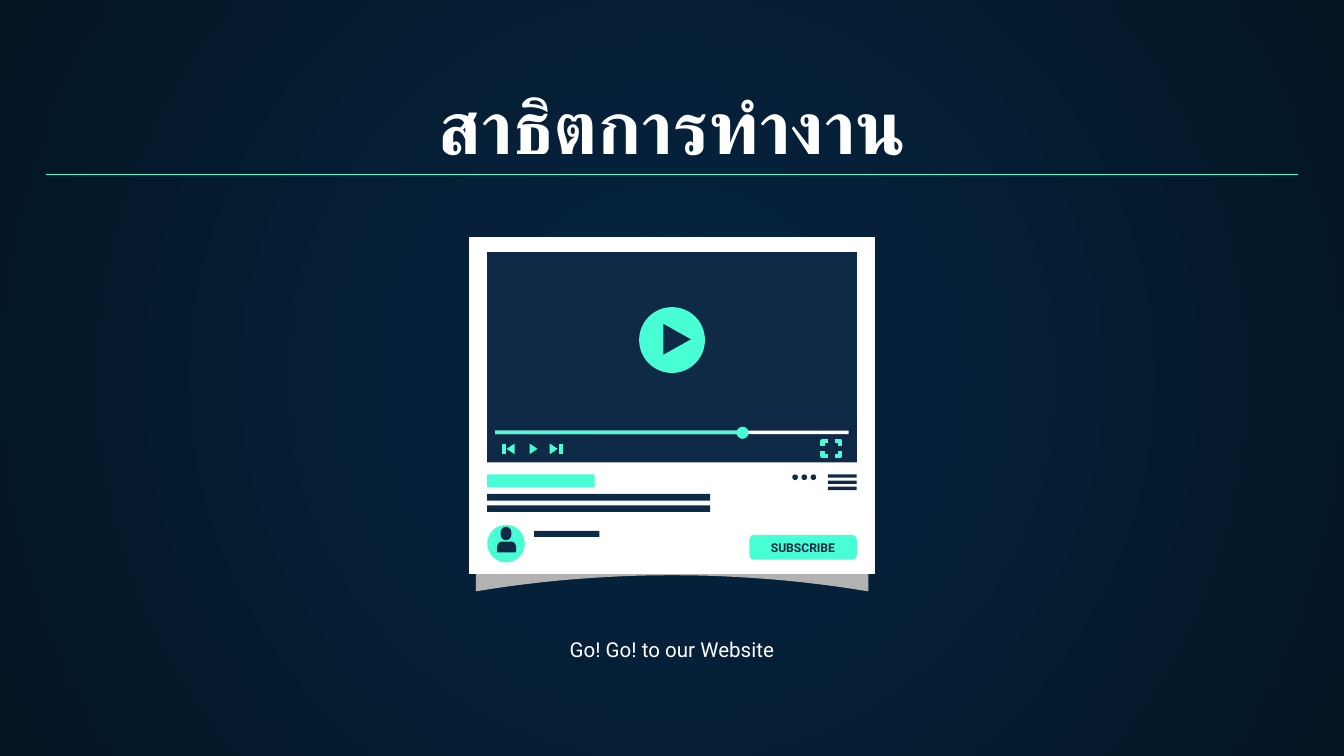
from dataclasses import dataclass

from lxml import etree
from pptx import Presentation
from pptx.dml.color import RGBColor
from pptx.enum.shapes import MSO_CONNECTOR, MSO_SHAPE
from pptx.enum.text import MSO_ANCHOR, MSO_AUTO_SIZE, PP_ALIGN
from pptx.oxml.ns import qn
from pptx.util import Inches, Pt

RECT, OVAL = MSO_SHAPE.RECTANGLE, MSO_SHAPE.OVAL
ROUNDED, SHOULDERS = MSO_SHAPE.ROUNDED_RECTANGLE, MSO_SHAPE.ROUND_2_SAME_RECTANGLE
STRAIGHT = MSO_CONNECTOR.STRAIGHT
TITLE_ONLY = 5

WIDTH = Inches(10)
HEIGHT = WIDTH * 9 // 16
UNIT = WIDTH / 1000  # the grid has 1000 columns of square cells
FONT = "Roboto"
ICON_LINE = 2.45
COLORS = {
    "center": "052643",
    "edge": "041523",
    "mint": "48FFD5",
    "navy": "0E2A47",
    "white": "FFFFFF",
    "shadow": "B3B2B2",
}


@dataclass
class Block:
    left: float
    top: float
    width: float
    height: float
    color: str
    kind: int = RECT
    rounding: float | None = None


CENTER, CARD_LEFT, CARD_RIGHT = 500, 362.5, 637.5
BAR_LEFT, BAR_TOP, KNOB = 368.5, 320.5, 552.5

SCREEN = [
    Block(349, 176.5, 302, 250.5, "white"),
    Block(CARD_LEFT, 187.5, 275, 156.5, "navy"),
    Block(BAR_LEFT, BAR_TOP, 263, 2.5, "white"),
    Block(BAR_LEFT, BAR_TOP, KNOB - BAR_LEFT, 2.5, "mint"),
    Block(CENTER - 24.5, 228.5, 49, 49, "mint", OVAL),
    Block(KNOB - 4.5, 317.5, 9, 9, "mint", OVAL),
]
DETAILS = [
    Block(CARD_LEFT, 353, 80, 9.5, "mint"),
    *(Block(CARD_LEFT, 367.5 + 8.5 * row, 166, 5, "navy") for row in range(2)),
    Block(397.5, 395, 48.5, 4.5, "navy"),
    *(Block(616, 353 + 4.6 * row, 21.5, 2.5, "navy") for row in range(3)),
    *(Block(589.5 + 6.8 * dot, 353, 4.2, 4.2, "navy", OVAL) for dot in range(3)),
]
AVATAR = [
    Block(CARD_LEFT, 390.5, 28, 28, "mint", OVAL),
    Block(372.5, 392, 8, 10, "navy", ROUNDED, 0.5),
    Block(370, 403, 14, 8, "navy", SHOULDERS, 0.45),
]
BUTTON = Block(557.5, 398, 80, 18.5, "mint", ROUNDED, 0.2)


def color(name: str) -> RGBColor:
    return RGBColor.from_string(COLORS[name])


def cells(*lengths: float) -> list[int]:
    """Turn grid lengths into EMU."""
    return [round(length * UNIT) for length in lengths]


def paint(shape, name: str) -> None:
    shape.shadow.inherit = False
    shape.fill.solid()
    shape.fill.fore_color.rgb = color(name)
    shape.line.fill.background()


def draw_block(shapes, block: Block):
    shape = shapes.add_shape(
        block.kind, *cells(block.left, block.top, block.width, block.height))
    if block.rounding is not None:
        shape.adjustments[0] = block.rounding
    paint(shape, block.color)
    return shape


def draw_path(shapes, points: list[tuple[float, float]], close: bool):
    start, *others = [cells(*point) for point in points]
    builder = shapes.build_freeform(*start)
    builder.add_line_segments(others, close=close)
    return builder.convert_to_shape()


def draw_arrow(shapes, base: float, tip: float, top: float, height: float, name: str) -> None:
    """Draw a triangle with an upright base that points left or right."""
    points = [(base, top), (base, top + height), (tip, top + height / 2)]
    paint(draw_path(shapes, points, True), name)


def draw_corner(shapes, x: float, y: float, right: int, down: int) -> None:
    points = [(x, y + 3.8 * down), (x, y), (x + 3.8 * right, y)]
    corner = draw_path(shapes, points, False)
    corner.shadow.inherit = False
    corner.fill.background()
    corner.line.color.rgb = color("mint")
    corner.line.width = Pt(ICON_LINE)


def draw_line(shapes, start: tuple, end: tuple, width: float) -> None:
    line = shapes.add_connector(STRAIGHT, *cells(*start, *end))
    line.line.color.rgb = color("mint")
    line.line.width = Pt(width)
    etree.SubElement(line.element.spPr, qn("a:effectLst"))


def draw_shadow(shapes) -> None:
    """Draw the sheet behind the card, whose top and bottom edges are arched."""
    half, steps = 146, 24
    arch = []
    for step in range(steps + 1):
        share = 2 * step / steps - 1
        arch.append((CENTER + half * share, 12 * share ** 2))
    top = [(x, 211 + drop) for x, drop in arch]
    bottom = [(x, 428 + drop) for x, drop in reversed(arch)]
    paint(draw_path(shapes, top + bottom, True), "shadow")


def write(shape, words: str, size: float, name: str, margin: float,
          anchor=MSO_ANCHOR.TOP, bold: bool = False) -> None:
    frame = shape.text_frame
    frame.auto_size = MSO_AUTO_SIZE.NONE
    frame.word_wrap = True
    frame.vertical_anchor = anchor
    frame.margin_left = frame.margin_right = Inches(margin)
    frame.margin_top = frame.margin_bottom = Inches(margin)
    frame.text = words
    para = frame.paragraphs[0]
    para.alignment = PP_ALIGN.CENTER
    para.font.name = FONT
    para.font.size = Pt(size)
    para.font.bold = bold
    para.font.color.rgb = color(name)
    defaults = shape.element.find(".//" + qn("a:defRPr"))
    etree.SubElement(defaults, qn("a:cs"), typeface=FONT)


def fill_background(page) -> None:
    fill = page.background.fill
    fill.gradient()
    for stop, position, name in zip(fill.gradient_stops, (0, 1), ("center", "edge")):
        stop.position = position
        stop.color.rgb = color(name)
    gradient = page.element.find(".//" + qn("a:gradFill"))
    linear = gradient.find(qn("a:lin"))
    circle = etree.Element(qn("a:path"), {"path": "circle"})
    middle = dict.fromkeys("ltrb", "50000")
    etree.SubElement(circle, qn("a:fillToRect"), middle)
    gradient.replace(linear, circle)


def draw_player(shapes) -> None:
    draw_shadow(shapes)
    for block in SCREEN + DETAILS + AVATAR:
        draw_block(shapes, block)
    draw_arrow(shapes, 493.5, 514, 241, 23, "navy")
    for base, tip in ((394, 400), (409, 415), (383, 377)):
        draw_arrow(shapes, base, tip, 330, 8, "mint")
    for x in (375, 417.3):
        draw_line(shapes, (x, 330), (x, 338), ICON_LINE)
    for x, right in ((612, 1), (625, -1)):
        for y, down in ((328, 1), (339.3, -1)):
            draw_corner(shapes, x, y, right, down)
    write(draw_block(shapes, BUTTON), "SUBSCRIBE", 6.5, "navy", 0,
          MSO_ANCHOR.MIDDLE, bold=True)


def main() -> None:
    deck = Presentation()
    deck.slide_width, deck.slide_height = WIDTH, HEIGHT
    page = deck.slides.add_slide(deck.slide_layouts[TITLE_ONLY])
    fill_background(page)

    title = page.shapes.title
    title.left, title.top, title.width, title.height = cells(34, 70, 932, 66)
    write(title, "สาธิตการทำงาน", 40, "white", 0.1, MSO_ANCHOR.BOTTOM, bold=True)
    caption = page.shapes.add_textbox(*cells(336, 464, 328, 39))
    write(caption, "Go! Go! to our Website", 11, "white", 0.1)

    draw_player(page.shapes.add_group_shape().shapes)
    draw_line(page.shapes, (34, 130), (966, 130), 0.75)
    deck.save("out.pptx")


if __name__ == "__main__":
    main()
